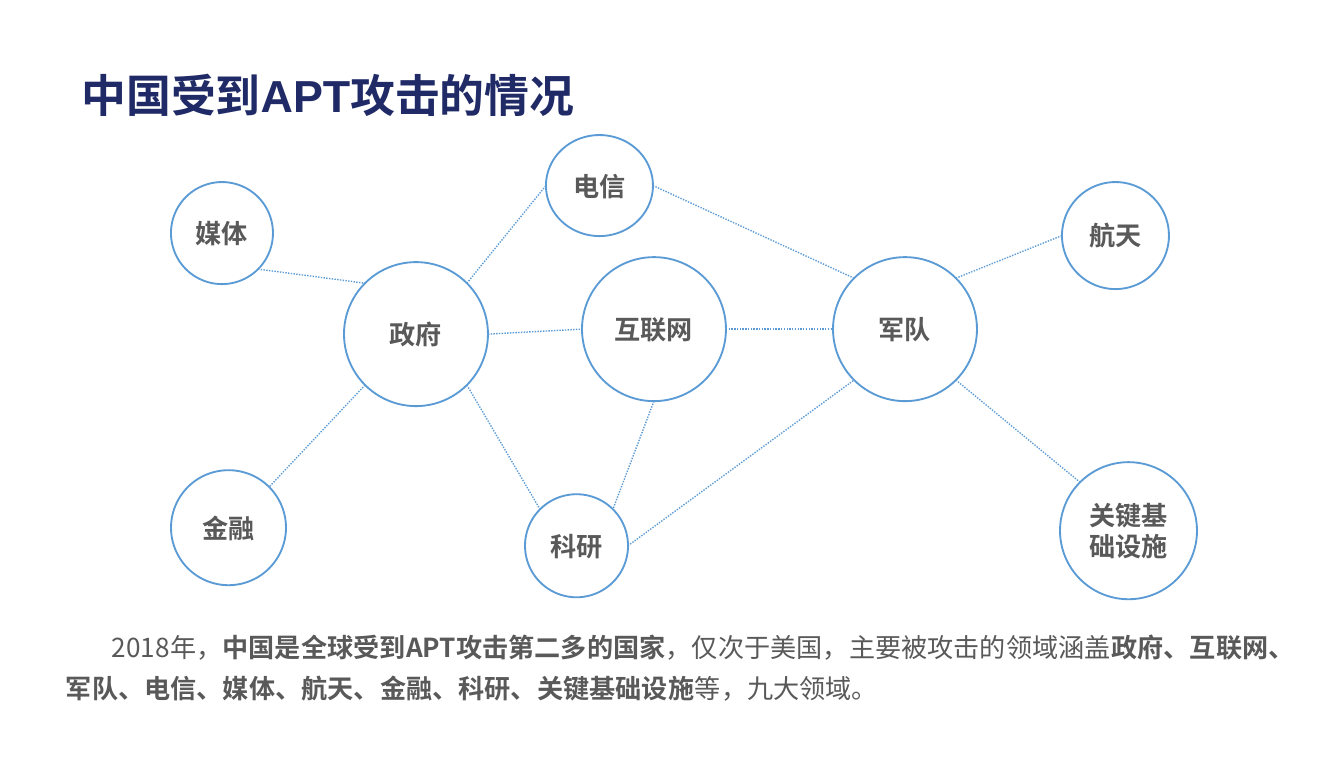
"""Build the slide on the fields in China hit by APT attacks."""
from math import cos, radians, sin

from lxml import etree
from pptx import Presentation
from pptx.dml.color import RGBColor
from pptx.enum.dml import MSO_LINE
from pptx.enum.shapes import MSO_CONNECTOR, MSO_SHAPE
from pptx.enum.text import MSO_ANCHOR, MSO_AUTO_SIZE, PP_ALIGN
from pptx.oxml.ns import qn
from pptx.util import Inches, Pt

PX = 914400 / 134.4
STRAIGHT = MSO_CONNECTOR.STRAIGHT
ELLIPSE = MSO_SHAPE.OVAL
DOTTED = MSO_LINE.ROUND_DOT
MIDDLE = MSO_ANCHOR.MIDDLE
NO_FIT = MSO_AUTO_SIZE.NONE
LEFT, CENTER = PP_ALIGN.LEFT, PP_ALIGN.CENTER
CJK = "Noto Sans CJK SC"
NAVY, GRAY, BLUE = "1F2A66", "595959", "5B9BD5"
RIGHT_SIDE, LOWER_RIGHT, BOTTOM, LOWER_LEFT = 0, 45, 90, 135
LEFT_SIDE, UPPER_LEFT, UPPER_RIGHT = 180, 225, 315


def px(*lengths):
    return [round(length * PX) for length in lengths]


def style(run, color, size, bold=True, name=CJK):
    for attribute, value in {"name": name, "size": Pt(size), "bold": bold}.items():
        setattr(run.font, attribute, value)
    run.font.color.rgb = RGBColor.from_string(color)
    etree.SubElement(run.font._element, qn("a:ea"), typeface=CJK)


fields = {
    "科研": (525, 494, 103, 103),
    "军队": (833, 257, 144, 144),
    "互联网": (582, 257, 144, 144),
    "政府": (344, 262, 144, 144),
    "电信": (546, 135, 107, 101),
    "媒体": (171, 182, 102, 102),
    "金融": (171, 470, 115, 115),
    "关键基\n础设施": (1060, 462, 137, 137),
    "航天": (1062, 182, 107, 107),
}
links = [
    ("媒体", LOWER_RIGHT, "政府", UPPER_LEFT),
    ("政府", LOWER_LEFT, "金融", UPPER_RIGHT),
    ("政府", LOWER_RIGHT, "科研", UPPER_LEFT),
    ("政府", UPPER_RIGHT, "电信", LEFT_SIDE),
    ("电信", RIGHT_SIDE, "军队", UPPER_LEFT),
    ("科研", RIGHT_SIDE, "军队", LOWER_LEFT),
    ("军队", LOWER_RIGHT, "关键基\n础设施", UPPER_LEFT),
    ("军队", UPPER_RIGHT, "航天", LEFT_SIDE),
    ("政府", RIGHT_SIDE, "互联网", LEFT_SIDE),
    ("互联网", RIGHT_SIDE, "军队", LEFT_SIDE),
    ("互联网", BOTTOM, "科研", UPPER_RIGHT),
]
summary_parts = [
    ("2018年，", False),
    ("中国是全球受到APT攻击第二多的国家", True),
    ("，仅次于美国，主要被攻击的领域涵盖", False),
    ("政府、互联网、军队、电信、媒体、航天、金融、科研、关键基础设施", True),
    ("等，九大领域。", False),
]

deck = Presentation()
deck.slide_width, deck.slide_height = Inches(10), Inches(5.63)
slide = deck.slides.add_slide(deck.slide_layouts[5])
shapes = slide.shapes

title = shapes.title
title.left, title.top, title.width, title.height = px(68, 61, 544, 67)
title.text_frame.text = "中国受到APT攻击的情况"
for attribute, value in {"word_wrap": False, "auto_size": NO_FIT, "vertical_anchor": MIDDLE}.items():
    setattr(title.text_frame, attribute, value)
heading = title.text_frame.paragraphs[0]
heading.alignment = LEFT
style(heading.runs[0], NAVY, 24, name="Arial")

for start, start_angle, end, end_angle in links:
    ends = []
    for field, angle in ((start, start_angle), (end, end_angle)):
        left, top, width, height = fields[field]
        ends += [left + width / 2 * (1 + cos(radians(angle))),
                 top + height / 2 * (1 + sin(radians(angle)))]
    link = shapes.add_connector(STRAIGHT, *px(*ends))
    link.line.color.rgb = RGBColor.from_string(BLUE)
    link.line.width = Pt(0.75)
    link.line.dash_style = DOTTED
    etree.SubElement(link._element.spPr, qn("a:effectLst"))

for field, bounds in fields.items():
    circle = shapes.add_shape(ELLIPSE, *px(*bounds))
    circle.shadow.inherit = False
    circle.fill.background()
    circle.line.color.rgb = RGBColor.from_string(BLUE)
    circle.line.width = Pt(1)
    label = circle.text_frame
    label.text = field
    for attribute, value in {"word_wrap": False, "vertical_anchor": MIDDLE, "margin_left": 0,
                             "margin_right": 0, "margin_top": 0, "margin_bottom": 0}.items():
        setattr(label, attribute, value)
    for line in label.paragraphs:
        line.alignment = CENTER
        style(line.runs[0], GRAY, 14)

summary = shapes.add_textbox(*px(61, 599, 1224, 125)).text_frame
inset, top_inset, first_indent = px(5, 7, 46)
for attribute, value in {"word_wrap": True, "vertical_anchor": MIDDLE, "margin_left": inset,
                         "margin_right": inset, "margin_top": top_inset,
                         "margin_bottom": inset}.items():
    setattr(summary, attribute, value)
sentence = summary.paragraphs[0]
sentence.line_spacing = 1.3
sentence._p.get_or_add_pPr().set("indent", str(first_indent))
for text, bold in summary_parts:
    part = sentence.add_run()
    part.text = text
    style(part, GRAY, 14, bold)

deck.save("out.pptx")
